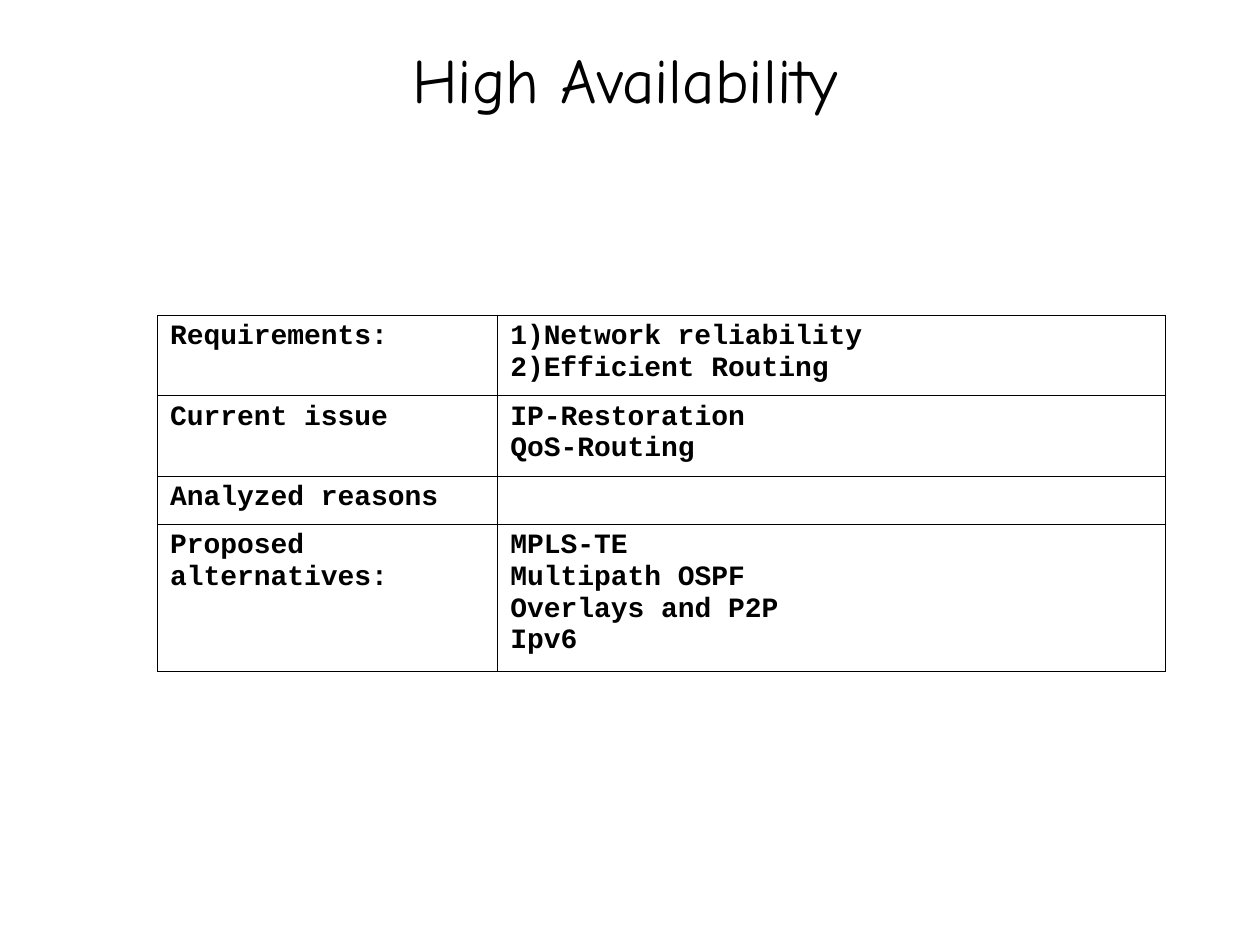
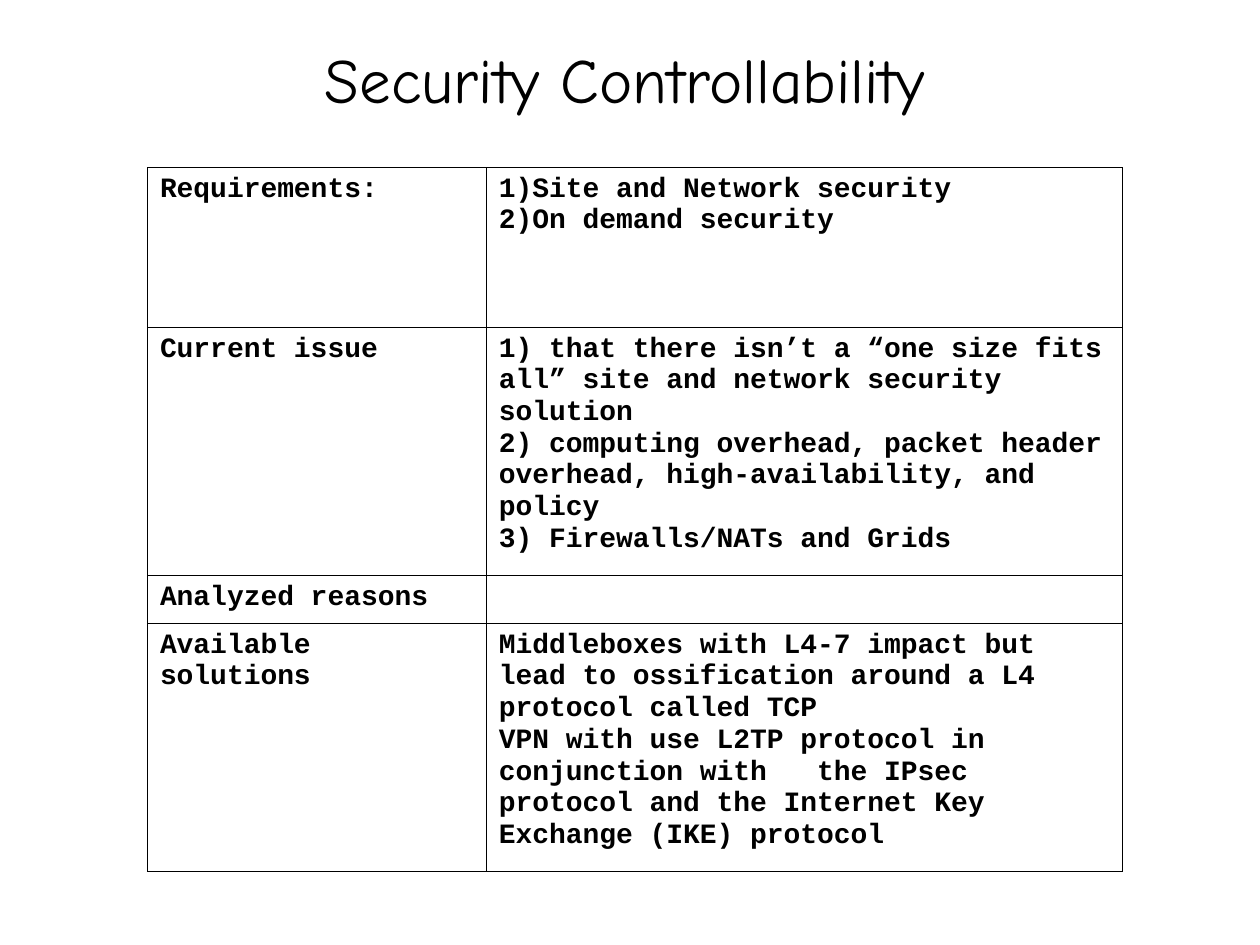
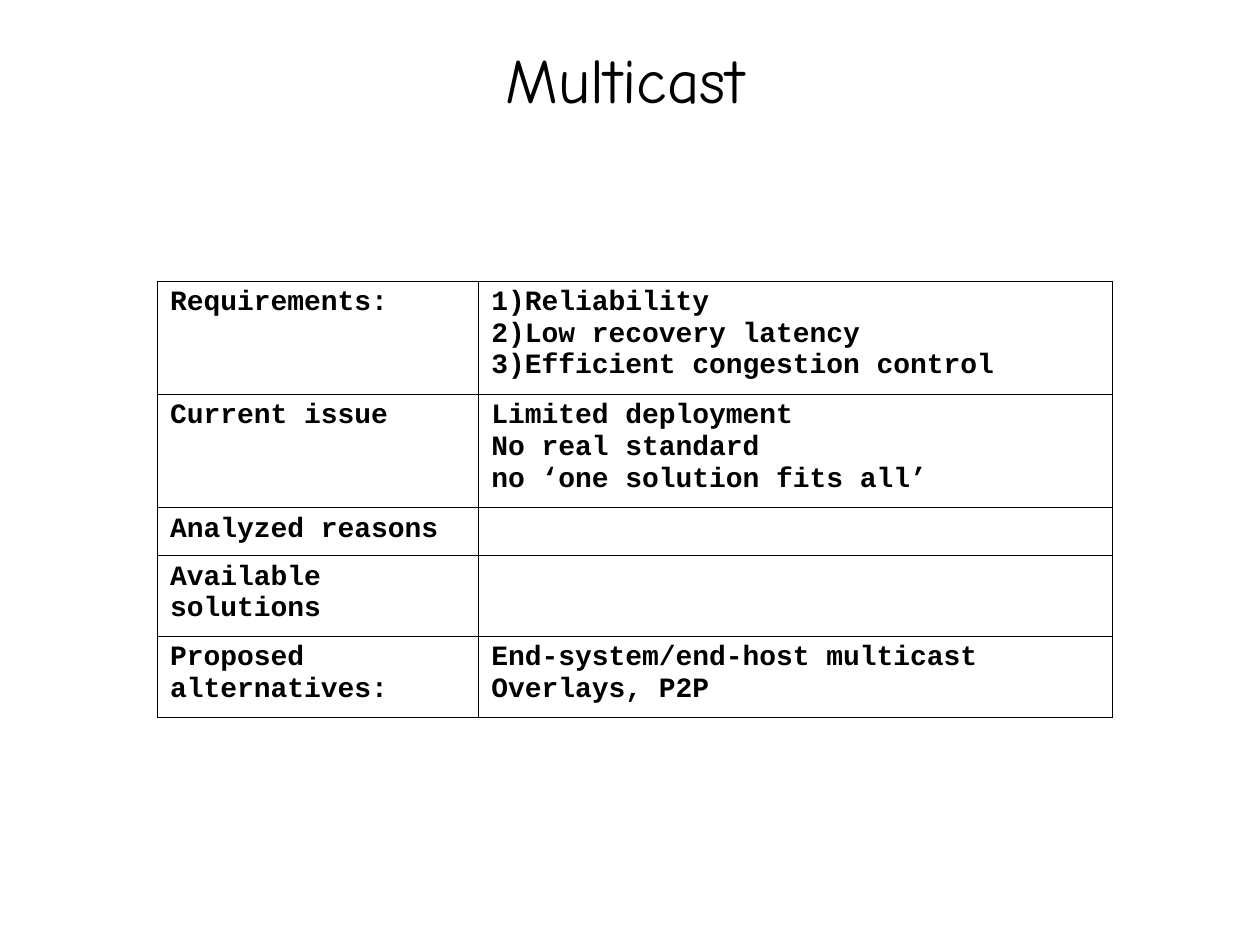
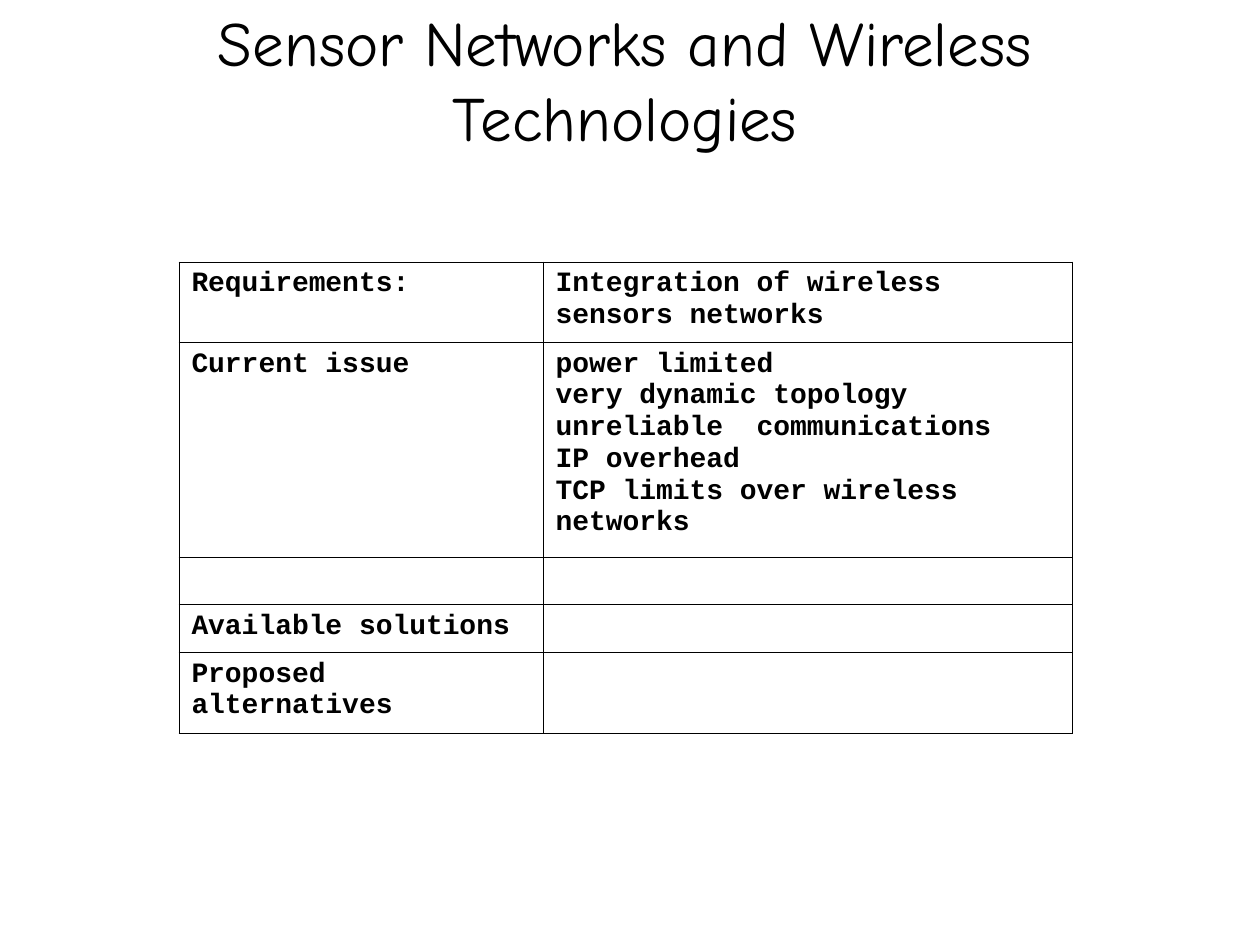
from lxml import etree
from pptx import Presentation
from pptx import util as u
from pptx.dml.color import RGBColor
from pptx.enum import text
from pptx.oxml import ns

COLORS = {"ink": "000000", "paper": "FFFFFF"}
TITLE_FONT = "Comic Neue"
TABLE_FONT = "Courier New"
TITLE_ONLY = 5


class Numbered(list):
    pass


class Builder:
    def __init__(self):
        self.deck = Presentation()
        self.deck.slide_width = u.Inches(10)
        self.deck.slide_height = u.Inches(7.5)
        self.page = None

    def color(self, name):
        return RGBColor.from_string(COLORS[name])

    def add_page(self, title):
        self.page = self.deck.slides.add_slide(self.deck.slide_layouts[TITLE_ONLY])
        background = self.page.background.fill
        background.solid()
        background.fore_color.rgb = self.color("paper")
        self.title(title)

    def title(self, words):
        box = self.page.shapes.title
        box.left, box.top = u.Inches(0.5), u.Inches(0)
        box.width, box.height = u.Inches(8.92), u.Inches(1.25)
        frame = box.text_frame
        frame.word_wrap = True
        frame.auto_size = text.MSO_AUTO_SIZE.NONE
        frame.vertical_anchor = text.MSO_ANCHOR.MIDDLE
        para = frame.paragraphs[0]
        para.alignment = text.PP_ALIGN.CENTER
        self.run(para, words, TITLE_FONT, 36)

    def run(self, para, words, font, size, bold=False):
        span = para.add_run()
        span.text = words
        span.font.name = font
        span.font.size = u.Pt(size)
        span.font.bold = bold
        span.font.color.rgb = self.color("ink")

    def number(self, para):
        props = para._p.get_or_add_pPr()
        props.set("marL", "0")
        props.set("indent", "0")
        etree.SubElement(props, ns.qn("a:buAutoNum"), type="arabicParenR")

    def borders(self, cell):
        props = cell._tc.get_or_add_tcPr()
        for side in ("lnL", "lnR", "lnT", "lnB"):
            line = etree.SubElement(props, ns.qn(f"a:{side}"), w=str(u.Pt(0.45)))
            fill = etree.SubElement(line, ns.qn("a:solidFill"))
            etree.SubElement(fill, ns.qn("a:srgbClr"), val=COLORS["ink"])

    def fill_cell(self, cell, lines):
        self.borders(cell)
        cell.fill.background()
        frame = cell.text_frame
        for index, words in enumerate(lines):
            para = frame.add_paragraph() if index else frame.paragraphs[0]
            if isinstance(lines, Numbered):
                self.number(para)
            self.run(para, words, TABLE_FONT, 16, bold=True)
        if not lines:
            end = etree.SubElement(frame.paragraphs[0]._p, ns.qn("a:endParaRPr"), sz="1600", b="1")
            etree.SubElement(end, ns.qn("a:latin"), typeface=TABLE_FONT)

    def table(self, left, top, widths, rows):
        frame = self.page.shapes.add_table(
            len(rows), len(widths), u.Inches(left), u.Inches(top),
            u.Inches(sum(widths)), u.Inches(sum(row[0] for row in rows)))
        table = frame.table
        table.first_row = False
        table.horz_banding = False
        for column, width in zip(table.columns, widths):
            column.width = u.Inches(width)
        for row, (height, label, lines) in zip(table.rows, rows):
            row.height = u.Inches(height)
            self.fill_cell(row.cells[0], [label] if label else [])
            self.fill_cell(row.cells[1], lines)


TOPICS = [
    ("High Availability", 1.25, 2.5, (2.7, 5.3), [
        (0.64, "Requirements:", Numbered(["Network reliability", "Efficient Routing"])),
        (0.64, "Current issue", ["IP-Restoration", "QoS-Routing"]),
        (0.38, "Analyzed reasons", []),
        (1.17, "Proposed alternatives:", ["MPLS-TE", "Multipath OSPF", "Overlays and P2P", "Ipv6"]),
    ]),
    ("Security Controllability", 1.17, 1.33, (2.69, 5.05), [
        (1.27, "Requirements:", ["1)Site and Network security", "2)On demand security"]),
        (1.97, "Current issue", [
            "1) that there isn’t a “one size fits all” site and network security solution",
            "2) computing overhead, packet header overhead, high-availability, and policy",
            "3) Firewalls/NATs and Grids"]),
        (0.38, "Analyzed reasons", []),
        (1.97, "Available solutions", [
            "Middleboxes with L4-7 impact but lead to ossification around a L4 protocol called TCP",
            "VPN with use L2TP protocol in conjunction with   the IPsec protocol "
            "and the Internet Key Exchange (IKE) protocol"]),
    ]),
    ("Multicast", 1.25, 2.23, (2.55, 5.03), [
        (0.9, "Requirements:", Numbered([
            "Reliability", "Low recovery latency", "Efficient congestion control"])),
        (0.9, "Current issue", [
            "Limited deployment", "No real standard", "no ‘one solution fits all’"]),
        (0.38, "Analyzed reasons", []),
        (0.64, "Available solutions", []),
        (0.64, "Proposed alternatives:", ["End-system/end-host multicast", "Overlays, P2P"]),
    ]),
    ("Sensor Networks and Wireless Technologies", 1.42, 2.08, (2.89, 4.2), [
        (0.64, "Requirements:", ["Integration of wireless sensors networks"]),
        (1.7, "Current issue", [
            "power limited", "very dynamic topology", "unreliable  communications",
            "IP overhead", "TCP limits over wireless networks"]),
        (0.38, "", []),
        (0.38, "Available solutions", []),
        (0.64, "Proposed alternatives", []),
    ]),
]


def main():
    builder = Builder()
    for title, left, top, widths, rows in TOPICS:
        builder.add_page(title)
        builder.table(left, top, widths, rows)
    builder.deck.save("out.pptx")


if __name__ == "__main__":
    main()
